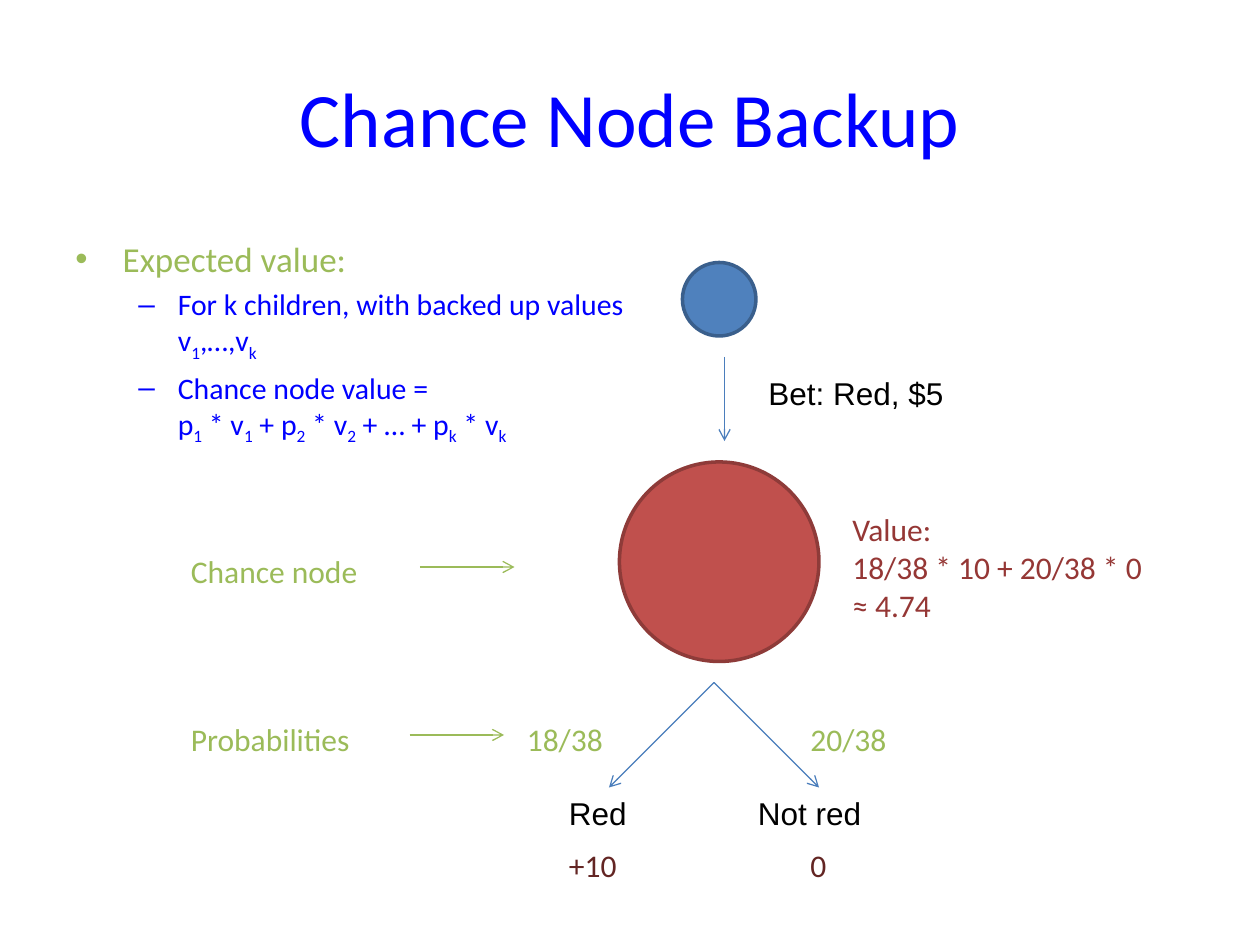
from lxml.etree import SubElement
from pptx import Presentation
from pptx.dml.color import RGBColor
from pptx.enum.shapes import MSO_CONNECTOR as Connector, MSO_SHAPE as Shape
from pptx.enum.text import MSO_ANCHOR as Anchor, PP_ALIGN as Align
from pptx.oxml.ns import qn
from pptx.util import Pt

BLUE = RGBColor(0x00, 0x00, 0xFF)
GREEN = RGBColor(0x9B, 0xBB, 0x59)
BLACK = RGBColor(0x00, 0x00, 0x00)
MAROON = RGBColor(0x63, 0x25, 0x23)
DARK_RED = RGBColor(0x95, 0x37, 0x35)
ARROW_BLUE = RGBColor(0x4B, 0x7E, 0xBC)
CHANCE_FILL = RGBColor(0xC0, 0x50, 0x4D)
CHANCE_LINE = RGBColor(0x8E, 0x3B, 0x39)
STATE_FILL = RGBColor(0x4F, 0x81, 0xBD)
STATE_LINE = RGBColor(0x3A, 0x5F, 0x8C)


def style(font, size, color, name="Calibri"):
    font.size = Pt(size)
    font.name = name
    font.color.rgb = color


def add_text(page, text, left, top, width, color, name="Calibri", size=18, height=29):
    box = page.shapes.add_textbox(Pt(left), Pt(top), Pt(width), Pt(height))
    frame = box.text_frame
    frame.word_wrap = True
    frame.text = text
    for para in frame.paragraphs:
        for span in para.runs:
            style(span.font, size, color, name)
    return box


def add_title(page, text):
    box = add_text(page, text, 36, 21.6, 648, BLUE, size=44, height=90)
    box.text_frame.vertical_anchor = Anchor.MIDDLE
    box.text_frame.paragraphs[0].alignment = Align.CENTER


def set_bullet(para, symbol, margin, hanging):
    props = para._p.get_or_add_pPr()
    props.set("marL", str(Pt(margin)))
    props.set("indent", str(-Pt(hanging)))
    SubElement(props, qn("a:buFont"), typeface="Arial")
    SubElement(props, qn("a:buChar"), char=symbol)


def add_formula(para, text, size, color):
    """Write text in which every second piece between underscores is a subscript."""
    for index, piece in enumerate(text.split("_")):
        for row, line in enumerate(piece.split("\n")):
            if row:
                para.add_line_break()
            span = para.add_run()
            span.text = line
            style(span.font, size, color)
            if index % 2:
                span.font._element.set("baseline", "-25000")


def add_outline(page, heading, items):
    box = add_text(page, heading, 36, 132, 336, GREEN, size=20, height=384)
    set_bullet(box.text_frame.paragraphs[0], "•", 27, 27)
    for item in items:
        para = box.text_frame.add_paragraph()
        para.level = 1
        para.space_before = Pt(4)
        set_bullet(para, "–", 58.5, 22.5)
        add_formula(para, item, 17, BLUE)
        for line_break in para._p.findall(qn("a:br")):
            SubElement(line_break, qn("a:rPr"), sz="1700")


def add_arrow(page, start, end, color):
    ends = [Pt(value) for value in (*start, *end)]
    arrow = page.shapes.add_connector(Connector.STRAIGHT, *ends)
    arrow.line.color.rgb = color
    arrow.line.width = Pt(0.75)
    SubElement(arrow.line._get_or_add_ln(), qn("a:tailEnd"), type="arrow")
    SubElement(arrow._element.spPr, qn("a:effectLst"))


def add_node(page, center, middle, diameter, fill, line):
    node = page.shapes.add_shape(
        Shape.OVAL, Pt(center - diameter / 2), Pt(middle - diameter / 2),
        Pt(diameter), Pt(diameter))
    node.shadow.inherit = False
    node.fill.solid()
    node.fill.fore_color.rgb = fill
    node.line.color.rgb = line
    node.line.width = Pt(2)


def main():
    deck = Presentation()
    deck.slide_width, deck.slide_height = Pt(720), Pt(540)
    page = deck.slides.add_slide(deck.slide_layouts[6])

    add_title(page, "Chance Node Backup")
    add_outline(page, "Expected value:", [
        "For k children, with backed up values v_1_,…,v_k",
        "Chance node value =\np_1_ * v_1_ + p_2_ * v_2_ + … + p_k_ * v_k",
    ])

    add_node(page, 411, 171, 42, STATE_FILL, STATE_LINE)
    add_node(page, 411, 321, 114, CHANCE_FILL, CHANCE_LINE)
    add_arrow(page, (414, 204), (414, 252), ARROW_BLUE)
    for outcome_x in (348, 468):
        add_arrow(page, (408, 390), (outcome_x, 450), ARROW_BLUE)
    add_arrow(page, (240, 324), (294, 324), GREEN)
    add_arrow(page, (234, 420), (288, 420), GREEN)

    for text, left, top, width, color, name in [
        ("Bet: Red, $5", 432, 210, 132, BLACK, "Arial"),
        ("Red", 318, 450, 66, BLACK, "Arial"),
        ("Not red", 426, 450, 96, BLACK, "Arial"),
        ("Chance node", 102, 312, 168, GREEN, "Calibri"),
        ("Probabilities", 102, 408, 168, GREEN, "Calibri"),
        ("18/38", 294, 408, 78, GREEN, "Calibri"),
        ("20/38", 456, 408, 84, GREEN, "Calibri"),
        ("+10", 318, 480, 60, MAROON, "Calibri"),
        ("0", 456, 480, 60, MAROON, "Calibri"),
    ]:
        add_text(page, text, left, top, width, color, name)
    add_text(page, "Value:\n18/38 * 10 + 20/38 * 0\n≈ 4.74",
             480, 288, 210, DARK_RED, height=73)

    deck.save("out.pptx")


if __name__ == "__main__":
    main()
